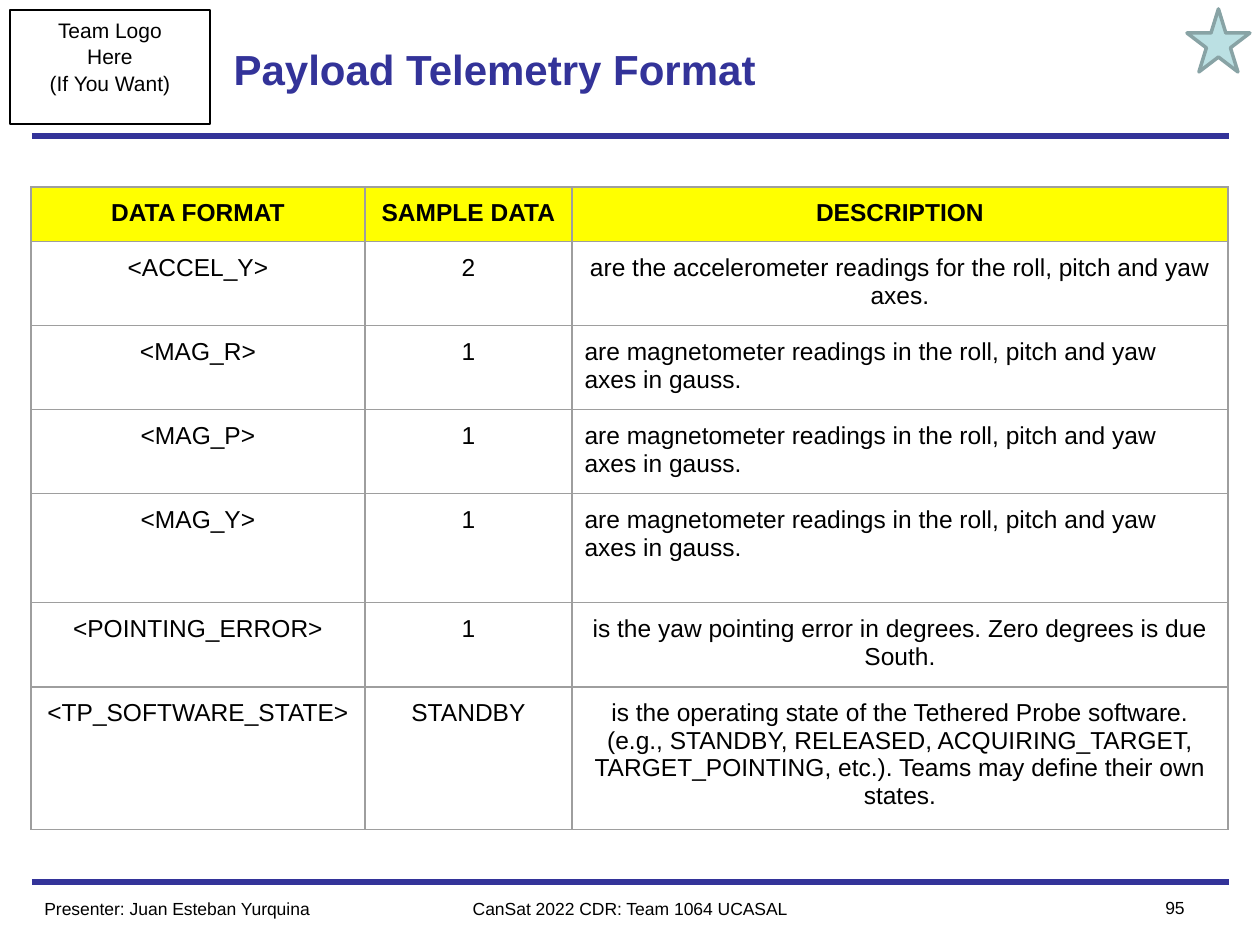
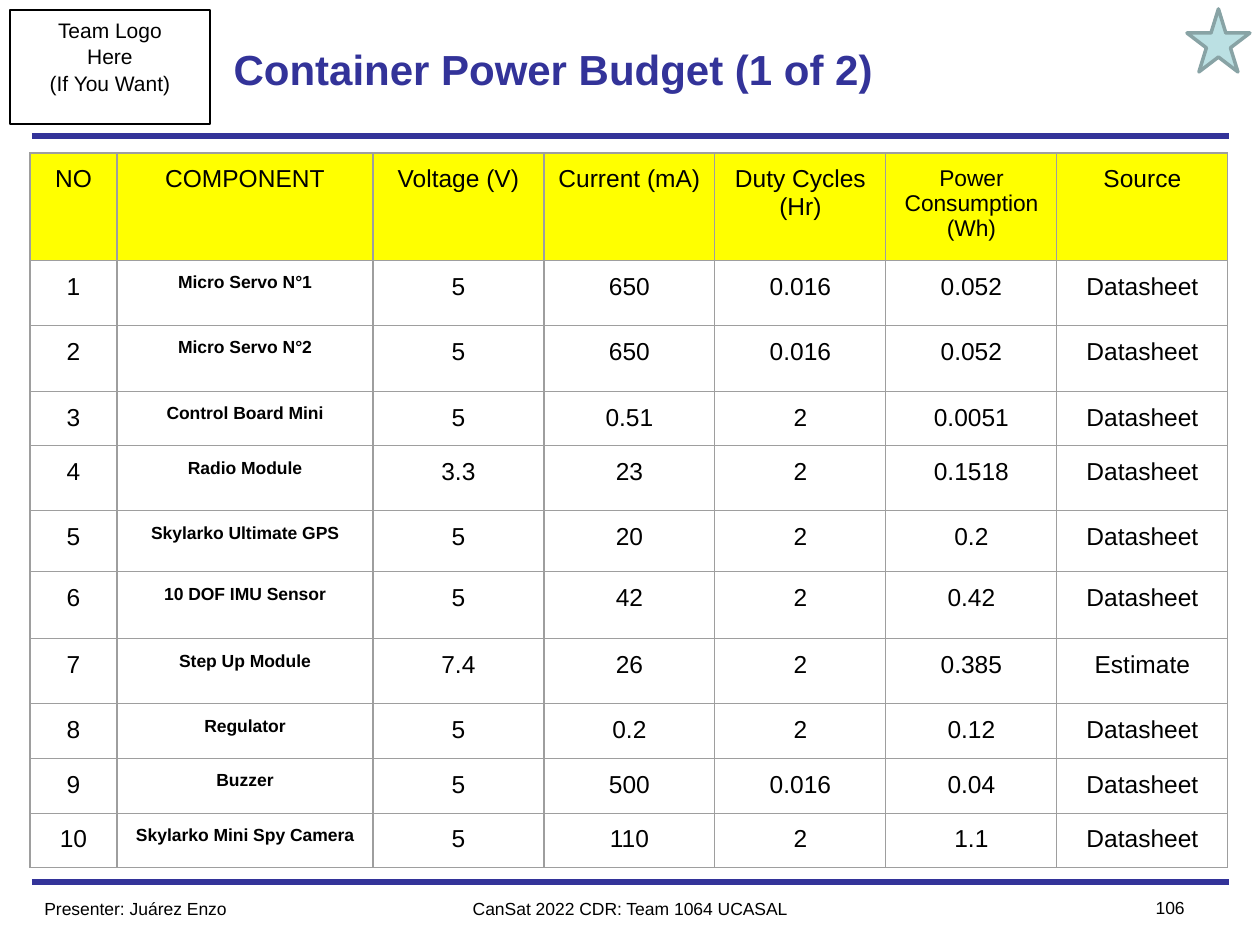
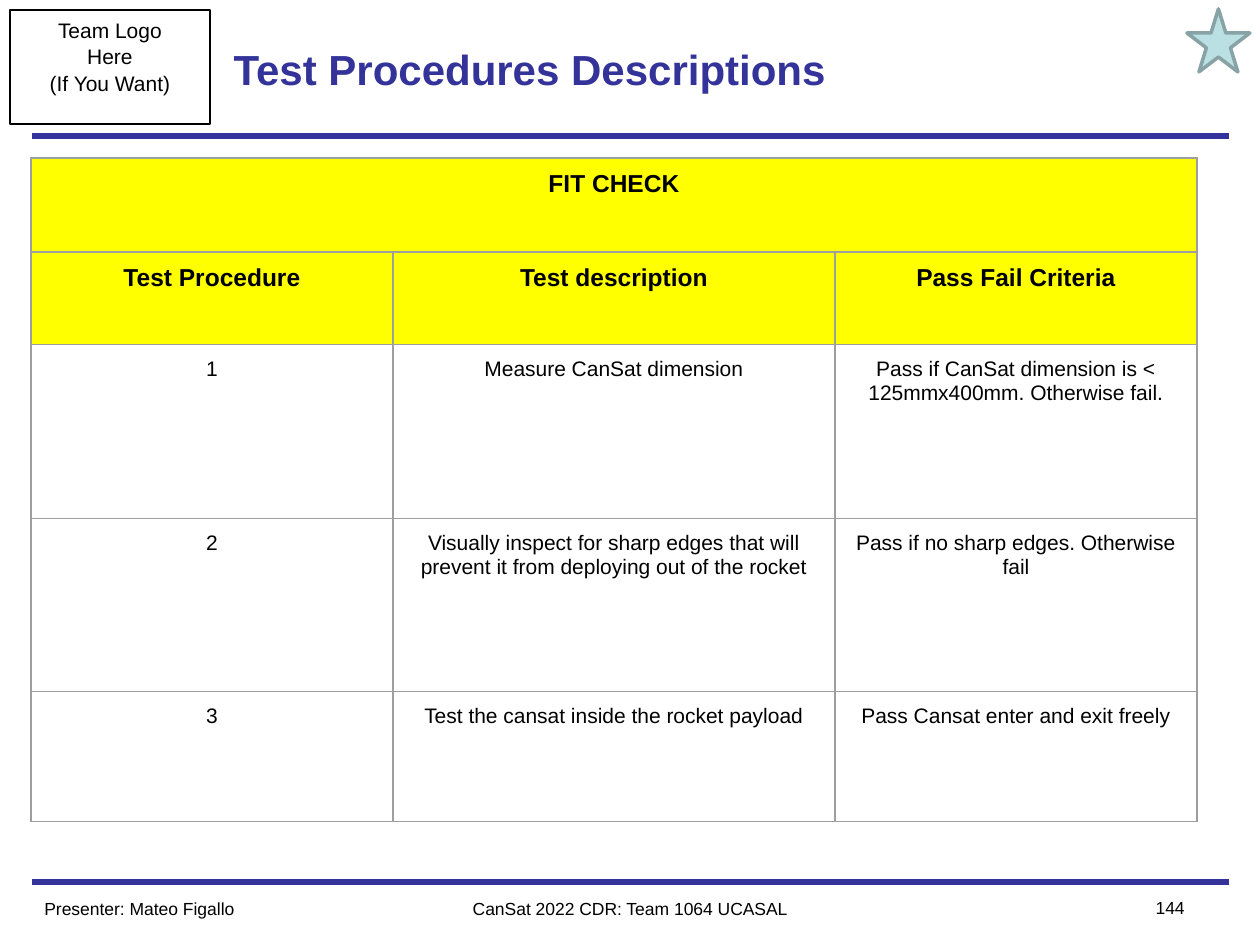
from lxml import etree
from pptx import Presentation
from pptx.dml.color import RGBColor
from pptx.enum.shapes import MSO_CONNECTOR, MSO_SHAPE
from pptx.enum.text import MSO_ANCHOR, MSO_AUTO_SIZE, PP_ALIGN
from pptx.oxml import parse_xml
from pptx.oxml.ns import nsdecls, qn
from pptx.util import Emu, Pt

PX = 914400 / 126
FONT = "Arial"
NAVY = RGBColor(0x33, 0x33, 0x99)
BLACK = RGBColor(0, 0, 0)
YELLOW = RGBColor(0xFF, 0xFF, 0)
GRAY = RGBColor(0x9E, 0x9E, 0x9E)
STAR_FILL = RGBColor(0xBB, 0xE0, 0xE3)
STAR_LINE = RGBColor(0x88, 0xA3, 0xA5)
LEFT, CENTER, RIGHT = PP_ALIGN.LEFT, PP_ALIGN.CENTER, PP_ALIGN.RIGHT
TOP, MIDDLE = MSO_ANCHOR.TOP, MSO_ANCHOR.MIDDLE
NO_FIT = MSO_AUTO_SIZE.NONE
STRAIGHT = MSO_CONNECTOR.STRAIGHT
RECTANGLE, STAR = MSO_SHAPE.RECTANGLE, MSO_SHAPE.STAR_5_POINT
TITLE_ONLY = 5
RULE_LEFT, RULE_RIGHT = 32, 1229
MAGNETOMETER = "are magnetometer readings in the roll, pitch and yaw axes in gauss."

TELEMETRY = [
    ("DATA FORMAT", "SAMPLE DATA", "DESCRIPTION"),
    ("<ACCEL_Y>", "2", "are the accelerometer readings for the roll, pitch and yaw axes."),
    ("<MAG_R>", "1", MAGNETOMETER),
    ("<MAG_P>", "1", MAGNETOMETER),
    ("<MAG_Y>", "1", MAGNETOMETER),
    ("<POINTING_ERROR>", "1",
     "is the yaw pointing error in degrees. Zero degrees is due South."),
    ("<TP_SOFTWARE_STATE>", "STANDBY",
     "is the operating state of the Tethered Probe software. (e.g., STANDBY, RELEASED, "
     "ACQUIRING_TARGET, TARGET_POINTING, etc.). Teams may define their own states."),
]

POWER = [
    ("NO", "COMPONENT", "Voltage (V)", "Current (mA)", "Duty Cycles (Hr)",
     "Power Consumption (Wh)", "Source"),
    ("1", "Micro Servo N°1", "5", "650", "0.016", "0.052", "Datasheet"),
    ("2", "Micro Servo N°2", "5", "650", "0.016", "0.052", "Datasheet"),
    ("3", "Control Board Mini", "5", "0.51", "2", "0.0051", "Datasheet"),
    ("4", "Radio Module", "3.3", "23", "2", "0.1518", "Datasheet"),
    ("5", "Skylarko Ultimate GPS", "5", "20", "2", "0.2", "Datasheet"),
    ("6", "10 DOF IMU Sensor", "5", "42", "2", "0.42", "Datasheet"),
    ("7", "Step Up Module", "7.4", "26", "2", "0.385", "Estimate"),
    ("8", "Regulator", "5", "0.2", "2", "0.12", "Datasheet"),
    ("9", "Buzzer", "5", "500", "0.016", "0.04", "Datasheet"),
    ("10", "Skylarko Mini Spy Camera", "5", "110", "2", "1.1", "Datasheet"),
]

FIT_CHECK = [
    ("FIT CHECK", "", ""),
    ("Test Procedure", "Test description", "Pass Fail Criteria"),
    ("1", "Measure CanSat dimension",
     "Pass if CanSat dimension is < 125mmx400mm. Otherwise fail."),
    ("2", "Visually inspect for sharp edges that will prevent it from deploying out of the rocket",
     "Pass if no sharp edges. Otherwise fail"),
    ("3", "Test the cansat inside the rocket payload", "Pass Cansat enter and exit freely"),
]


def px(length):
    return Emu(round(length * PX))


def frame(*lengths):
    return [px(length) for length in lengths]


def write(text_frame, text, size=14, bold=False, color=BLACK, align=CENTER, anchor=TOP,
          spacing=None):
    text_frame.word_wrap = True
    text_frame.vertical_anchor = anchor
    for index, line in enumerate(text.split("\n")):
        para = text_frame.add_paragraph() if index else text_frame.paragraphs[0]
        para.alignment = align
        para.line_spacing = spacing
        span = para.add_run()
        span.text = line
        span.font.name = FONT
        span.font.size = Pt(size)
        span.font.bold = bold
        span.font.color.rgb = color


def add_rule(page, y):
    rule = page.shapes.add_connector(STRAIGHT, *frame(RULE_LEFT, y, RULE_RIGHT, y))
    rule.line.color.rgb = NAVY
    rule.line.width = Pt(3)
    etree.SubElement(rule.element.spPr, qn("a:effectLst"))


def add_box(page, kind, place, line, width, fill=None):
    box = page.shapes.add_shape(kind, *frame(*place))
    box.shadow.inherit = False
    box.line.color.rgb = line
    box.line.width = Pt(width)
    if fill is None:
        box.fill.background()
    else:
        box.fill.solid()
        box.fill.fore_color.rgb = fill
    return box


def add_label(page, place, text, align):
    label = page.shapes.add_textbox(*frame(*place))
    write(label.text_frame, text, size=10, align=align)


def add_page(deck, title, presenter, number):
    page = deck.slides.add_slide(deck.slide_layouts[TITLE_ONLY])
    heading = page.shapes.title
    heading.left, heading.top, heading.width, heading.height = frame(221, 11, 746, 116)
    heading.text_frame.auto_size = NO_FIT
    write(heading.text_frame, title, size=24, bold=True, color=NAVY, align=LEFT, anchor=MIDDLE)
    for y in (882, 136):
        add_rule(page, y)
    logo = add_box(page, RECTANGLE, (10, 10, 200, 114), BLACK, 0.75)
    write(logo.text_frame, "Team Logo\nHere\n(If You Want)", size=12, spacing=1.05)
    add_box(page, STAR, (1187, 9, 63, 63), STAR_LINE, 2, fill=STAR_FILL)
    add_label(page, (32, 892, 315, 34), f"Presenter: {presenter}", LEFT)
    add_label(page, (378, 892, 504, 34), "CanSat 2022 CDR: Team 1064 UCASAL", CENTER)
    add_label(page, (1102, 891, 95, 34), number, RIGHT)
    return page


def add_borders(cell):
    properties = cell._tc.get_or_add_tcPr()
    for side in ("lnL", "lnR", "lnT", "lnB"):
        properties.append(parse_xml(
            f'<a:{side} {nsdecls("a")} w="{Pt(0.75)}"><a:solidFill>'
            f'<a:srgbClr val="{GRAY}"/></a:solidFill></a:{side}>'))


def add_grid(page, corner, columns, heights, rows, style, header_rows=1):
    place = (*corner, sum(columns), sum(heights))
    table = page.shapes.add_table(len(rows), len(columns), *frame(*place)).table
    table.horz_banding = table.first_row = False
    for column, width in zip(table.columns, columns):
        column.width = px(width)
    for row, height in zip(table.rows, heights):
        row.height = px(height)
    for r, texts in enumerate(rows):
        for c, text in enumerate(texts):
            cell = table.cell(r, c)
            cell.margin_left = cell.margin_right = Pt(7.2)
            cell.margin_top = cell.margin_bottom = Pt(7.2)
            add_borders(cell)
            if r < header_rows:
                cell.fill.solid()
                cell.fill.fore_color.rgb = YELLOW
            else:
                cell.fill.background()
            if text:
                write(cell.text_frame, text, **style(r, c))
    return table


def telemetry_style(r, c):
    aligned_left = c == 2 and TELEMETRY[r][c] == MAGNETOMETER
    return {"bold": r == 0, "align": LEFT if aligned_left else CENTER}


def power_style(r, c):
    if r and c == 1:
        return {"size": 10, "bold": True}
    return {"size": 13 if (r, c) == (0, 5) else 14}


def fit_check_style(r, c):
    return {"size": 14, "bold": True} if r < 2 else {"size": 12}


def main():
    deck = Presentation()
    deck.slide_width, deck.slide_height = frame(1260, 945)

    page = add_page(deck, "Payload Telemetry Format", "Juan Esteban Yurquina", "95")
    add_grid(page, (31, 187), (334, 207, 656), (53, 80, 80, 82, 109, 80, 135),
             TELEMETRY, telemetry_style)

    page = add_page(deck, "Container Power Budget (1 of 2)", "Juárez Enzo", "106")
    add_grid(page, (30, 153), (87, 256) + (171,) * 5,
             (104, 65, 66, 52, 65, 61, 67, 65, 53, 52, 53), POWER, power_style)

    page = add_page(deck, "Test Procedures Descriptions", "Mateo Figallo", "144")
    table = add_grid(page, (31, 158), (362, 442, 362), (94, 93, 174, 173, 130),
                     FIT_CHECK, fit_check_style, header_rows=2)
    table.cell(0, 0).merge(table.cell(0, 2))

    deck.save("out.pptx")


if __name__ == "__main__":
    main()
